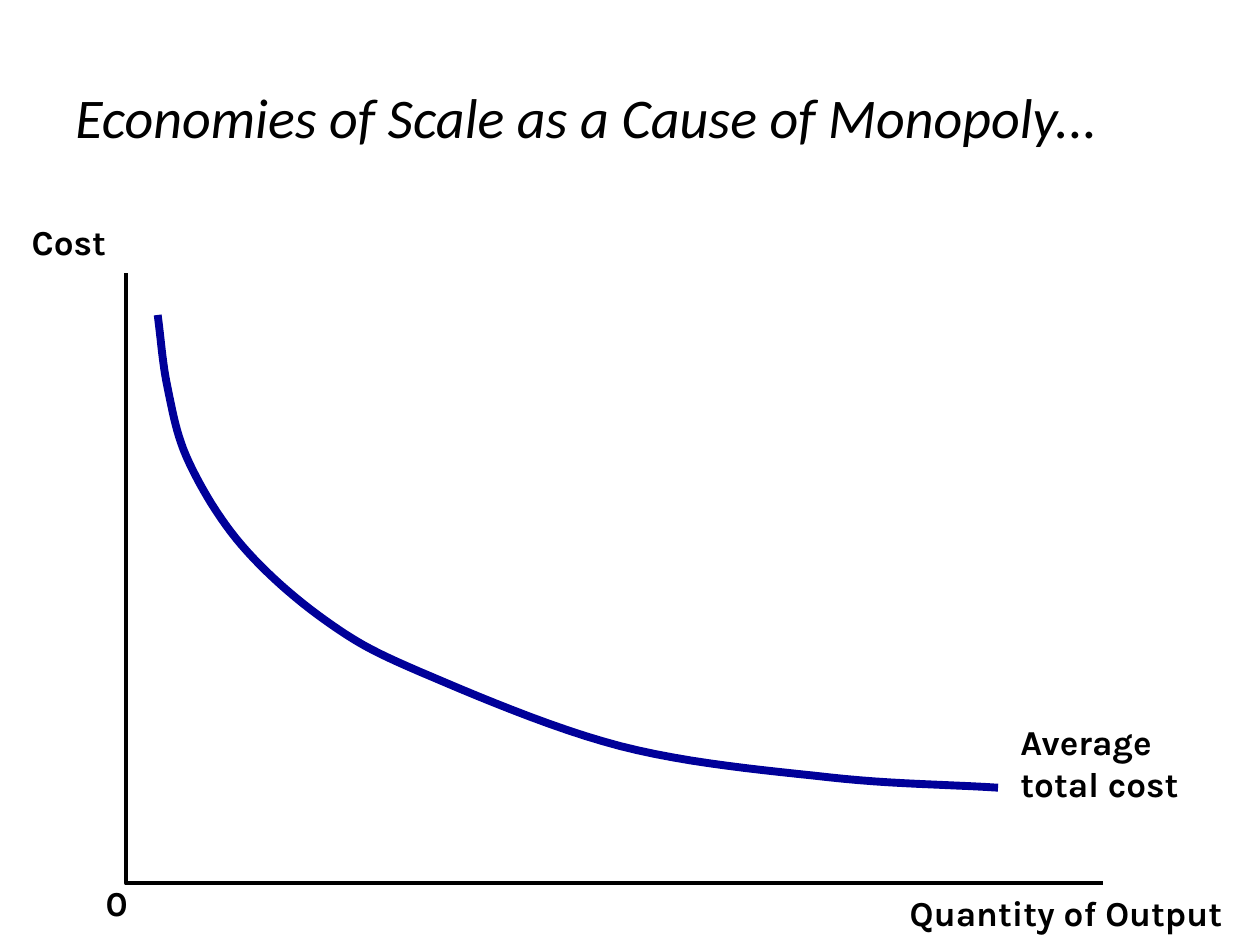
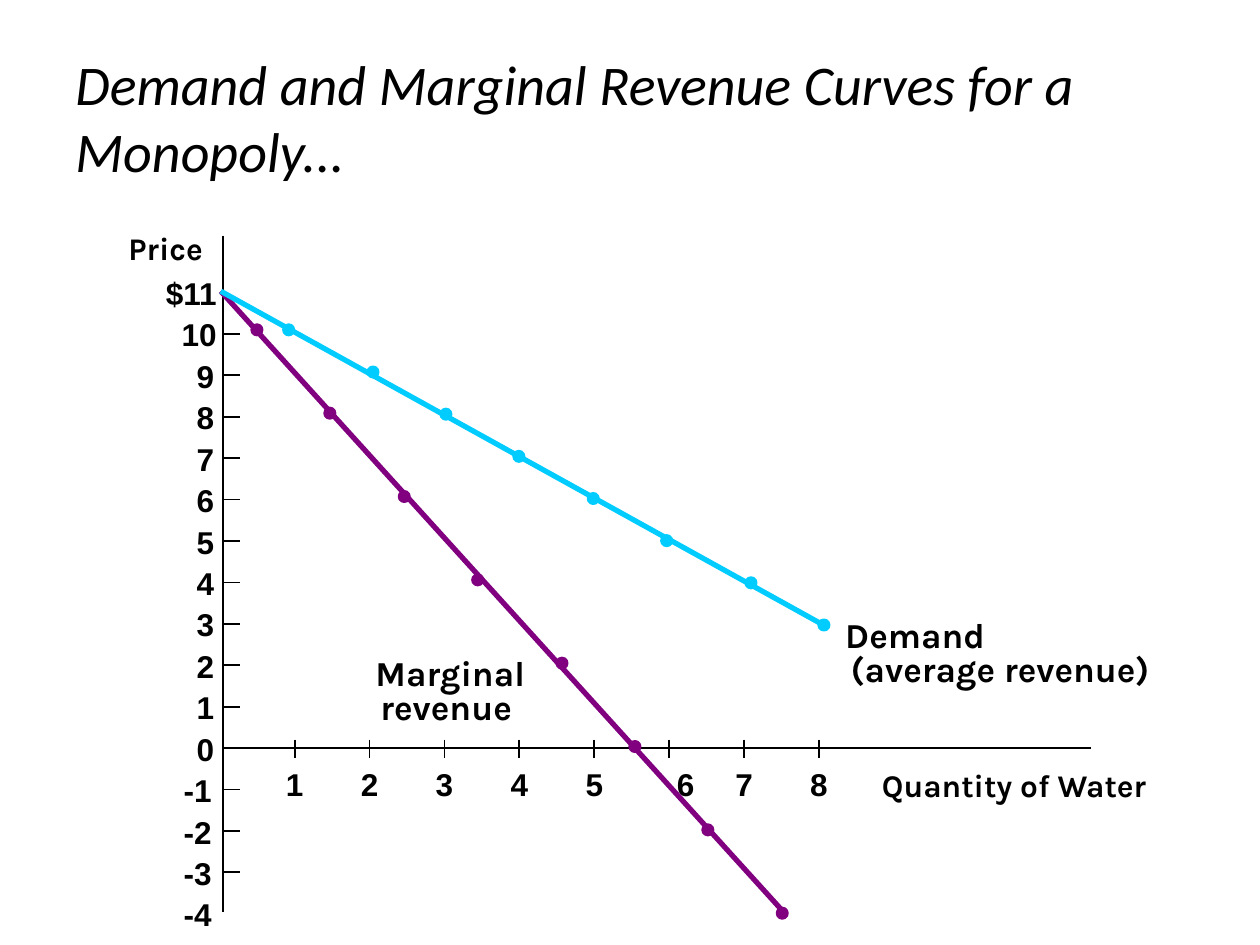
import pptx
import pptx.dml.color
import pptx.enum.shapes
import pptx.enum.text
import pptx.oxml
import pptx.util

Cm = pptx.util.Cm
Pt = pptx.util.Pt
RGB = pptx.dml.color.RGBColor.from_string
ALIGN = pptx.enum.text.PP_ALIGN
COLORS = {"ink": "000000", "cost": "000099", "marginal": "800080", "demand": "00CCFF"}


def add_text(slide, text, left, top, width, height, size=20, font="Karla",
             align=ALIGN.LEFT, block=False):
    """Add a tight one-line label or, with block, a padded box that wraps."""
    box = slide.shapes.add_textbox(Cm(left), Cm(top), Cm(width), Cm(height))
    frame = box.text_frame
    frame.word_wrap = block
    if not block:
        frame.auto_size = pptx.enum.text.MSO_AUTO_SIZE.SHAPE_TO_FIT_TEXT
        frame.margin_left = frame.margin_right = 0
        frame.margin_top = frame.margin_bottom = 0
    paragraph = frame.paragraphs[0]
    paragraph.alignment = align
    run = paragraph.add_run()
    run.text = text
    run.font.name = font
    run.font.size = Pt(size)
    run.font.bold = True
    run.font.color.rgb = RGB(COLORS["ink"])
    return box


def add_line(slide, x1, y1, x2, y2, color="ink", weight=1):
    line = slide.shapes.add_connector(
        pptx.enum.shapes.MSO_CONNECTOR.STRAIGHT, Cm(x1), Cm(y1), Cm(x2), Cm(y2))
    line.line.color.rgb = RGB(COLORS[color])
    line.line.width = Pt(weight)
    properties = line._element.spPr
    properties.append(pptx.oxml.parse_xml(
        '<a:effectLst xmlns:a="http://schemas.openxmlformats.org/drawingml/2006/main"/>'))


deck = pptx.Presentation()
deck.slide_width, deck.slide_height = Cm(25.4), Cm(19.05)

slides = []
for title in ("Economies of Scale as a Cause of Monopoly...",
              "Demand and Marginal Revenue Curves for a Monopoly..."):
    slide = deck.slides.add_slide(deck.slide_layouts[6])
    heading = add_text(slide, title, 1.27, 0.76, 22.86, 3.18, 32, "Calibri", block=True)
    heading.text_frame.vertical_anchor = pptx.enum.text.MSO_ANCHOR.MIDDLE
    font = heading.text_frame.paragraphs[0].runs[0].font
    font.bold, font.italic = False, True
    slides.append(slide)
scale_slide, revenue_slide = slides

# Economies of scale: a smooth average cost curve through its knots
knots = [(3.18, 6.35), (3.38, 7.82), (3.81, 9.32), (4.88, 11), (6.55, 12.5),
         (8.46, 13.54), (12.5, 15.04), (16.71, 15.67), (20.12, 15.88)]
before_first = tuple(2 * a - b for a, b in zip(knots[0], knots[1]))
after_last = tuple(2 * a - b for a, b in zip(knots[-1], knots[-2]))
guides = [before_first, *knots, after_last]
STEPS = 12
cost_curve = [knots[0]]
for previous, start, end, following in zip(guides, guides[1:], guides[2:], guides[3:]):
    for step in range(1, STEPS + 1):
        t = step / STEPS
        cost_curve.append(tuple(
            b + t * (c - a) / 2 + t ** 2 * (a - 2.5 * b + 2 * c - d / 2)
            + t ** 3 * (1.5 * (b - c) + (d - a) / 2)
            for a, b, c, d in zip(previous, start, end, following)))

cost_axes = [(2.54, 5.51), (2.54, 17.81), (22.23, 17.81)]
for points, color, weight in ((cost_axes, "ink", 2.25), (cost_curve, "cost", 4.5)):
    corners = [(Cm(x), Cm(y)) for x, y in points]
    builder = scale_slide.shapes.build_freeform(*corners[0])
    builder.add_line_segments(corners[1:], close=False)
    outline = builder.convert_to_shape()
    outline.shadow.inherit = False
    outline.fill.background()
    outline.line.color.rgb = RGB(COLORS[color])
    outline.line.width = Pt(weight)

add_text(scale_slide, "Average total cost", 20.32, 14.4, 3.81, 2.79, block=True)
for text, left, top, width in (("Quantity of Output", 18.34, 17.98, 6.78),
                               ("Cost", 0.64, 4.45, 1.55),
                               ("0", 2.13, 17.78, 0.41)):
    add_text(scale_slide, text, left, top, width, 0.84)

# Demand and marginal revenue: axes, ticks and their numbers
AXIS_X, AXIS_Y = 4.5, 15.08
PRICE_STEP, QUANTITY_STEP = 0.835, 1.51
add_line(revenue_slide, AXIS_X, 4.75, AXIS_X, 18.39)
add_line(revenue_slide, AXIS_X, AXIS_Y, 22, AXIS_Y)
add_text(revenue_slide, "Quantity of Water", 17.78, 15.44, 5.74, 0.76, 18)
add_text(revenue_slide, "Price", 2.59, 4.62, 1.57, 0.76, 18)

for price in range(11, -5, -1):
    y = AXIS_Y - price * PRICE_STEP
    label = "$11" if price == 11 else str(price)
    width = 0.4 * len(label)
    right = 4.37 if price > 9 else 4.32 if price >= 0 else 4.27
    add_text(revenue_slide, label, right - width, y - 0.37, width, 0.76, 18, "Arial",
             ALIGN.RIGHT)
    if price not in (11, 0, -4):
        add_line(revenue_slide, AXIS_X, y, AXIS_X + 0.33, y)

for quantity in range(1, 9):
    x = 4.43 + quantity * QUANTITY_STEP
    add_line(revenue_slide, x, 14.91, x, 15.29)
    nudge = 0.33 if quantity == 6 else 0  # keeps the 6 clear of marginal revenue
    add_text(revenue_slide, str(quantity), x - 0.18 + nudge, 15.42, 0.36, 0.76, 18,
             "Arial", ALIGN.CENTER)

# Each curve: labels, end of the line, drop between dots, dot positions
curves = {
    "marginal": ([("Marginal", 7.57, 13.13, 3.18), ("revenue", 7.67, 13.82, 2.9)],
                 (15.8, 18.39), 1.68,
                 [5.18, 6.65, 8.15, 9.63, 11.33, 12.8, 14.27, 15.77]),
    "demand": ([("Demand", 17.04, 12.37, 2.97), ("(average revenue)", 17.15, 13.06, 6.43)],
               (16.51, 12.55), 0.85,
               [5.82, 7.52, 8.99, 10.46, 11.96, 13.44, 15.14, 16.61]),
}
DOT = 0.21
for color, (labels, line_end, drop, dot_centers) in curves.items():
    for text, left, top, width in labels:
        add_text(revenue_slide, text, left, top, width, 0.84)
    add_line(revenue_slide, 4.45, 5.87, *line_end, color, 3)
    for index, x in enumerate(dot_centers):
        y = 6.65 + index * drop
        dot = revenue_slide.shapes.add_shape(
            pptx.enum.shapes.MSO_SHAPE.OVAL,
            Cm(x - DOT / 2), Cm(y - DOT / 2), Cm(DOT), Cm(DOT))
        dot.shadow.inherit = False
        dot.fill.solid()
        dot.fill.fore_color.rgb = RGB(COLORS[color])
        dot.line.color.rgb = RGB(COLORS[color])
        dot.line.width = Pt(1.5)

deck.save("out.pptx")
